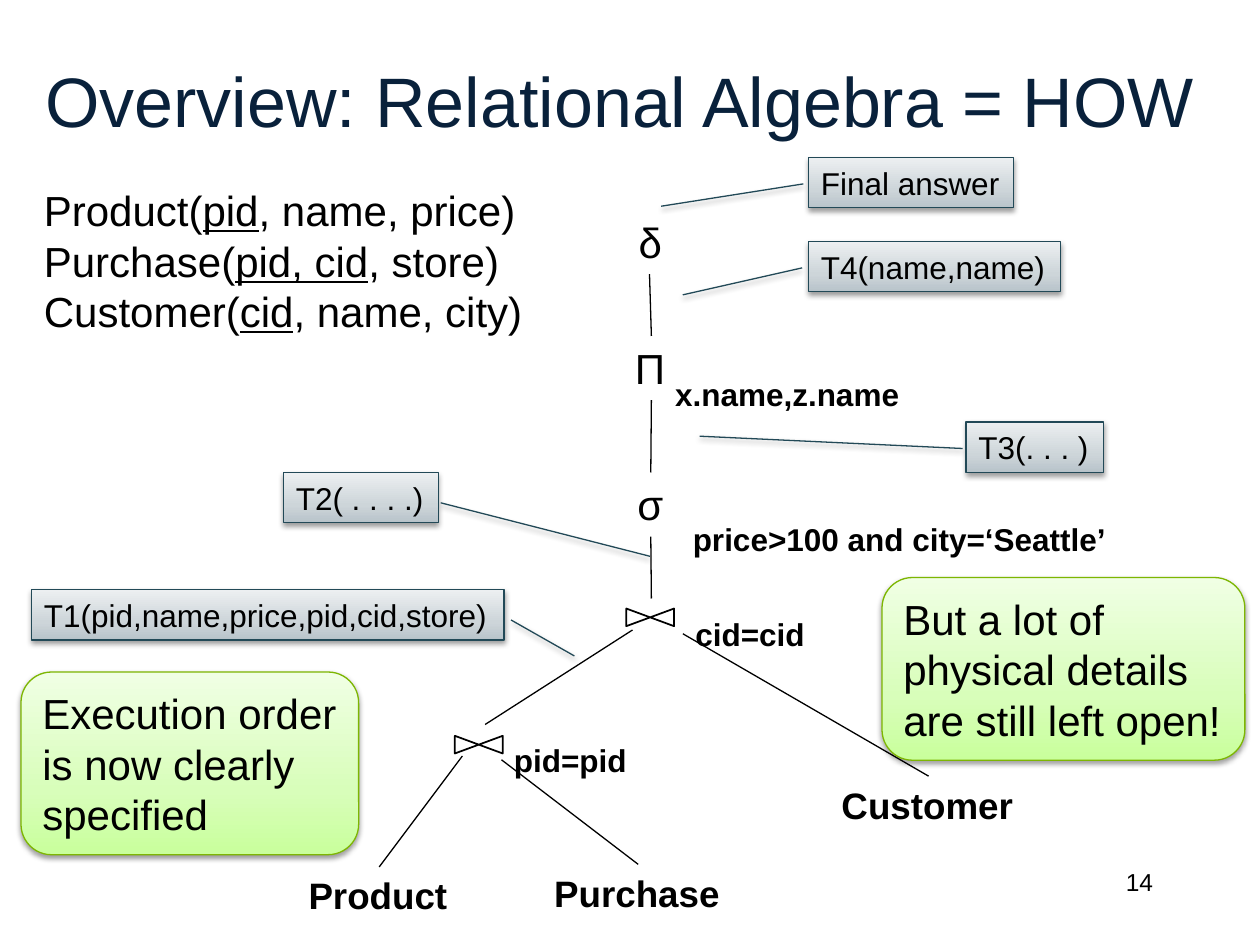
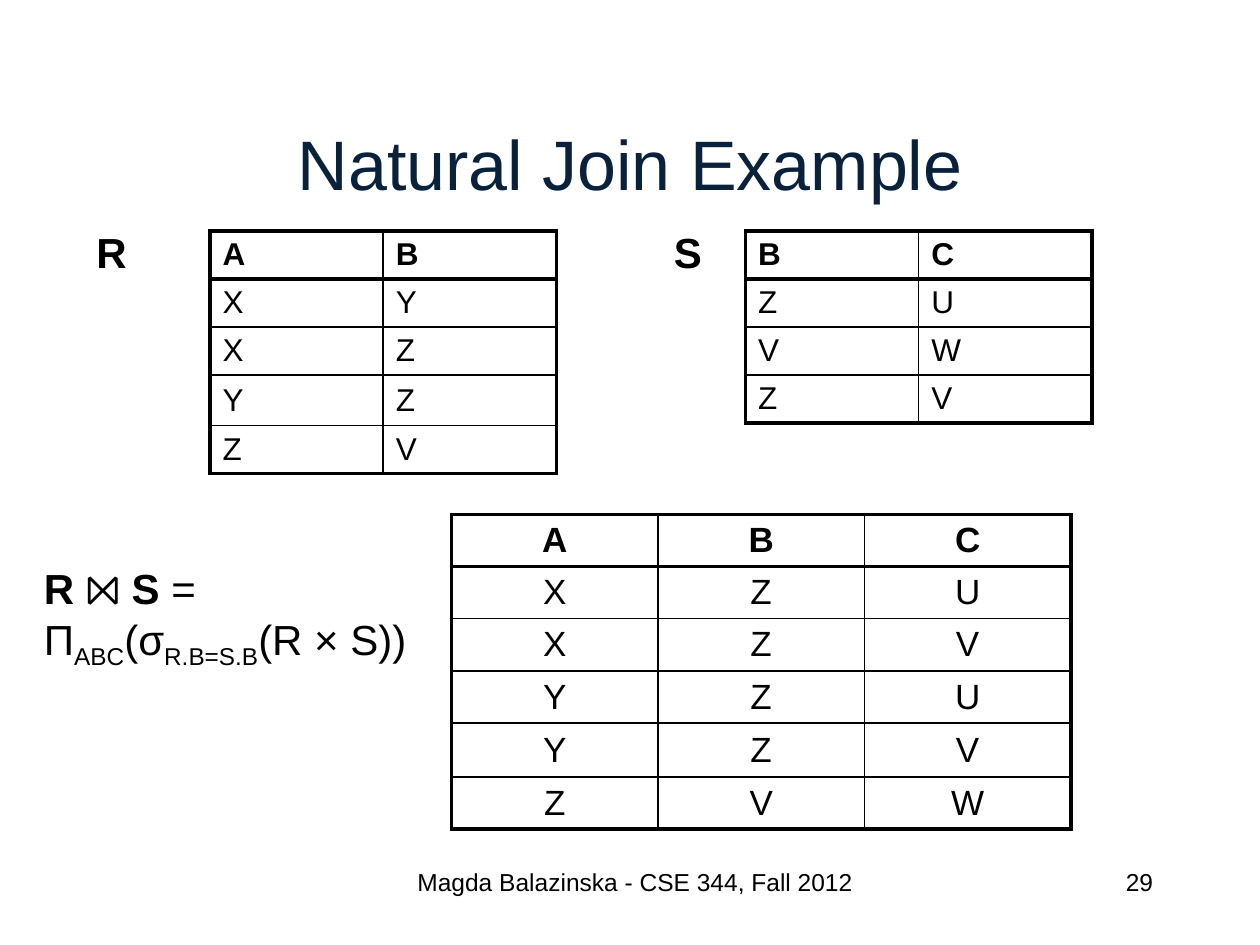
from dataclasses import dataclass

from pptx import Presentation
from pptx.dml.color import RGBColor
from pptx.enum.shapes import MSO_CONNECTOR, MSO_SHAPE
from pptx.enum.text import MSO_ANCHOR, MSO_AUTO_SIZE, PP_ALIGN
from pptx.oxml import parse_xml
from pptx.oxml.ns import nsdecls, qn
from pptx.oxml.xmlchemy import OxmlElement
from pptx.util import Inches, Pt

COLORS = {"title": "09213B", "ink": "000000", "slate": "224957", "leaf": "7DB602"}
GRADIENTS = {
    "slate": ("B8C3CA", "CDD5D9", "ECEFF1"),
    "leaf": ("C9FF9C", "D8FEBA", "F0FFE4"),
}
FONT = "Arial"
COLUMNS, ROWS = 120, 90
UNIT = Inches(10) / COLUMNS
THICK, THIN = 2.25, 1


@dataclass
class Box:
    left: float
    top: float
    width: float
    height: float

    def inner(self, left, top, width, height):
        return Box(self.left + left, self.top + top, width, height)

    def point(self, x, y):
        return round((self.left + x) * UNIT), round((self.top + y) * UNIT)

    def emu(self):
        return (*self.point(0, 0), round(self.width * UNIT), round(self.height * UNIT))


PAGE = Box(0, 0, COLUMNS, ROWS)


def rgb(name):
    return RGBColor.from_string(COLORS[name])


def write(frame, lines, size, color="ink", align=PP_ALIGN.LEFT):
    for index, line in enumerate(lines):
        paragraph = frame.paragraphs[0] if index == 0 else frame.add_paragraph()
        paragraph.alignment = align
        for text, style in [(line, "")] if isinstance(line, str) else line:
            run = paragraph.add_run()
            run.text = text
            run.font.name = FONT
            run.font.size = Pt(size)
            run.font.color.rgb = rgb(color)
            run.font.bold = "bold" in style
            run.font.underline = "under" in style
            if "sub" in style:
                run.font._element.set("baseline", "-25000")


def fit_to_text(frame):
    frame.word_wrap = False
    frame.auto_size = MSO_AUTO_SIZE.SHAPE_TO_FIT_TEXT


def add_label(slide, box, lines, size=24):
    label = slide.shapes.add_textbox(*box.emu())
    fit_to_text(label.text_frame)
    write(label.text_frame, lines, size)
    return label


def add_block(slide, box, text, size, color="ink", align=PP_ALIGN.CENTER, anchor=MSO_ANCHOR.TOP):
    frame = slide.shapes.add_textbox(*box.emu()).text_frame
    frame.word_wrap = True
    frame.vertical_anchor = anchor
    write(frame, [text], size, color, align)


def add_title(slide, box, text):
    add_block(slide, box, text, 40, "title", anchor=MSO_ANCHOR.MIDDLE)


def add_footer(slide, number, credit=None):
    if credit:
        add_block(slide, PAGE.inner(38, 82, 45, 6), credit, 14)
    add_block(slide, PAGE.inner(86, 82, 25, 6), number, 14, align=PP_ALIGN.RIGHT)


def add_panel(slide, kind, box, lines, size, tone, adjustments):
    panel = slide.shapes.add_shape(kind, *box.emu())
    for index, value in enumerate(adjustments):
        panel.adjustments[index] = value
    properties = panel._element.spPr
    stops = "".join(
        f'<a:gs pos="{position}"><a:srgbClr val="{color}"/></a:gs>'
        for position, color in zip((0, 35000, 100000), GRADIENTS[tone])
    )
    properties.find(qn("a:prstGeom")).addnext(parse_xml(
        f'<a:gradFill {nsdecls("a")} rotWithShape="1"><a:gsLst>{stops}</a:gsLst>'
        '<a:lin ang="16200000" scaled="0"/></a:gradFill>'
    ))
    panel.line.color.rgb = rgb(tone)
    panel.line.width = Pt(0.75)
    panel.shadow.inherit = False
    properties.find(qn("a:effectLst")).append(parse_xml(
        f'<a:outerShdw {nsdecls("a")} blurRad="{Pt(3.1)}" dist="{Pt(1.6)}" dir="5400000" '
        f'rotWithShape="0"><a:srgbClr val="{COLORS["ink"]}"><a:alpha val="38000"/>'
        '</a:srgbClr></a:outerShdw>'
    ))
    fit_to_text(panel.text_frame)
    write(panel.text_frame, lines, size)


def add_branch(slide, start, end, upper=None, lower=None):
    branch = slide.shapes.add_connector(MSO_CONNECTOR.STRAIGHT, *start, *end)
    branch.line.color.rgb = rgb("ink")
    branch.line.width = Pt(0.75)
    branch._element.spPr.append(OxmlElement("a:effectLst"))
    if upper is not None:
        branch.begin_connect(upper, 2)
    if lower is not None:
        branch.end_connect(lower, 0)


def add_bowtie(slide, box):
    right, bottom = box.width, box.height
    builder = slide.shapes.build_freeform(*box.point(0, 0))
    corners = [(0, bottom), (right, 0), (right, bottom)]
    builder.add_line_segments([box.point(*corner) for corner in corners], close=True)
    bowtie = builder.convert_to_shape()
    bowtie.fill.background()
    bowtie.line.color.rgb = rgb("ink")
    bowtie.line.width = Pt(1)
    bowtie.shadow.inherit = False


def query_tree(slide, box):
    relations = {
        name: add_label(slide, box.inner(left, top, width, 5.4), [[(name, "bold")]], 21)
        for name, left, top, width in (
            ("Product", 0.2, 62.56, 15.84),
            ("Purchase", 23.6, 62.32, 18.36),
            ("Customer", 50.96, 53.92, 18.96),
        )
    }
    operators = [
        add_label(slide, box.inner(left, top, width, 6.1), [symbol])
        for symbol, left, top, width in (
            ("δ", 31.64, 0, 4.44), ("Π", 31.28, 12, 5.52), ("σ", 31.52, 25, 4.92),
        )
    ]
    for condition, left, top, width in (
        ("pid=pid", 19.76, 49.96, 13.32),
        ("cid=cid", 37.04, 37.96, 12.96),
        ("price>100 and city=‘Seattle’", 36.8, 28.96, 42.24),
        ("x.name,z.name", 35.12, 15.16, 24),
    ):
        add_label(slide, box.inner(left, top, width, 4.8), [[(condition, "bold")]], 18)
    for left, top in ((15.32, 50.08), (31.64, 37.96)):
        add_bowtie(slide, box.inner(left, top, 4.56, 1.68))

    for upper, lower in zip(operators, operators[1:]):
        add_branch(slide, (0, 0), (0, 0), upper, lower)
    join_top = box.point(34.04, 37)
    add_branch(slide, join_top, join_top, upper=operators[-1])
    add_branch(slide, box.point(32.24, 40), box.point(18.2, 49))
    for name, x, y in (
        ("Product", 16.04, 52), ("Purchase", 19.76, 52.36), ("Customer", 37.04, 40.36),
    ):
        join_side = box.point(x, y)
        add_branch(slide, join_side, join_side, lower=relations[name])


def step_callouts(slide, box):
    for step, left, top, width, pointer in (
        ("T1(pid,name,price,pid,cid,store)", 3, 56.16, 45, (0.603, 1.015, 1.316, 1.149)),
        ("T2( . . . .)", 27, 45, 14.76, (0.603, 1.015, 1.664, 2.365)),
        ("T4(name,name)", 77, 23, 24, (0.525, -0.025, 1.061, -0.499)),
        ("Final answer", 77, 15, 19.56, (0.525, -0.025, 0.968, -0.717)),
        ("T3(. . . )", 92, 40.2, 13.08, (0.525, -0.025, 0.281, -1.94)),
    ):
        add_panel(slide, MSO_SHAPE.LINE_CALLOUT_1, box.inner(left, top, width, 4.8),
                  [step], 18, "slate", pointer)


def remarks(slide, box):
    for lines, left, top, width in (
        (["Execution order", "is now clearly", "specified"], 2, 64, 32.16),
        (["But a lot of", "physical details", "are still left open!"], 84, 55, 34.56),
    ):
        add_panel(slide, MSO_SHAPE.ROUNDED_RECTANGLE, box.inner(left, top, width, 17.4),
                  lines, 24, "leaf", (0.167,))


def schema(slide, box):
    add_label(slide, box, [
        [(relation + "(", ""), (key, "under"), (rest, "")]
        for relation, key, rest in (
            ("Product", "pid", ", name, price)"),
            ("Purchase", "pid, cid", ", store)"),
            ("Customer", "cid", ", name, city)"),
        )
    ])


def set_border(cell, side, width):
    cell._tc.get_or_add_tcPr().append(parse_xml(
        f'<a:{side} {nsdecls("a")} w="{Pt(width)}"><a:solidFill>'
        f'<a:srgbClr val="{COLORS["ink"]}"/></a:solidFill></a:{side}>'
    ))


def relation_table(slide, box, tuples, heights, size=18, align=PP_ALIGN.LEFT):
    row_count, column_count = len(tuples), len(tuples[0])
    table = slide.shapes.add_table(row_count, column_count, *box.emu()).table
    table.first_row = table.horz_banding = False
    for row, height in zip(table.rows, heights):
        row.height = round(height * UNIT)
    for r, values in enumerate(tuples):
        for c, value in enumerate(values):
            cell = table.cell(r, c)
            cell.margin_top = cell.margin_bottom = Inches(0.04)
            cell.vertical_anchor = MSO_ANCHOR.MIDDLE
            write(cell.text_frame, [[(value, "bold" if r == 0 else "")]], size, align=align)
            for side, heavy in (
                ("lnL", c == 0),
                ("lnR", c == column_count - 1),
                ("lnT", r < 2),
                ("lnB", r in (0, row_count - 1)),
            ):
                set_border(cell, side, THICK if heavy else THIN)
            cell.fill.background()


def operand(slide, box, name, table_offset, tuples, heights):
    add_label(slide, box.inner(0, 0, 5.2, 6.1), [[(name, "bold")]])
    table_box = box.inner(table_offset, 1, box.width - table_offset, sum(heights))
    relation_table(slide, table_box, tuples, heights)


def join_result(slide, box):
    add_label(slide, box.inner(0, 4, 39.48, 10.92), [
        [("R ", "bold"), ("⨝ ", ""), ("S ", "bold"), ("=", "")],
        [("Π", ""), ("ABC", "sub"), ("(σ", ""), ("R.B=S.B", "sub"), ("(R × S))", "")],
    ])
    heights = [4.95] * 4 + [5.14, 4.95]
    relation_table(slide, box.inner(40, 0, 59, sum(heights)),
                   ["ABC", "XZU", "XZV", "YZU", "YZV", "ZVW"], heights, 20, PP_ALIGN.CENTER)


def algebra_slide(slide):
    add_title(slide, PAGE.inner(2, 2, 114, 15), "Overview: Relational Algebra = HOW")
    query_tree(slide, PAGE.inner(28, 20, 80, 68))
    step_callouts(slide, PAGE)
    remarks(slide, PAGE)
    schema(slide, PAGE.inner(3, 17, 48.48, 15.72))
    add_footer(slide, "14")


def join_slide(slide):
    add_title(slide, PAGE.inner(9, 8, 102, 15), "Natural Join Example")
    operand(slide, PAGE.inner(8, 21, 45, 25), "R", 12,
            ["AB", "XY", "XZ", "YZ", "ZV"], [4.57] * 3 + [4.8, 4.57])
    operand(slide, PAGE.inner(63, 21, 41, 20), "S", 8,
            ["BC", "ZU", "VW", "ZV"], [4.57] * 4)
    join_result(slide, PAGE.inner(3, 49, 99, 30))
    add_footer(slide, "29", "Magda Balazinska - CSE 344, Fall 2012")


def main():
    deck = Presentation()
    deck.slide_width = round(COLUMNS * UNIT)
    deck.slide_height = round(ROWS * UNIT)
    for build in (algebra_slide, join_slide):
        build(deck.slides.add_slide(deck.slide_layouts[6]))
    deck.save("out.pptx")


if __name__ == "__main__":
    main()
